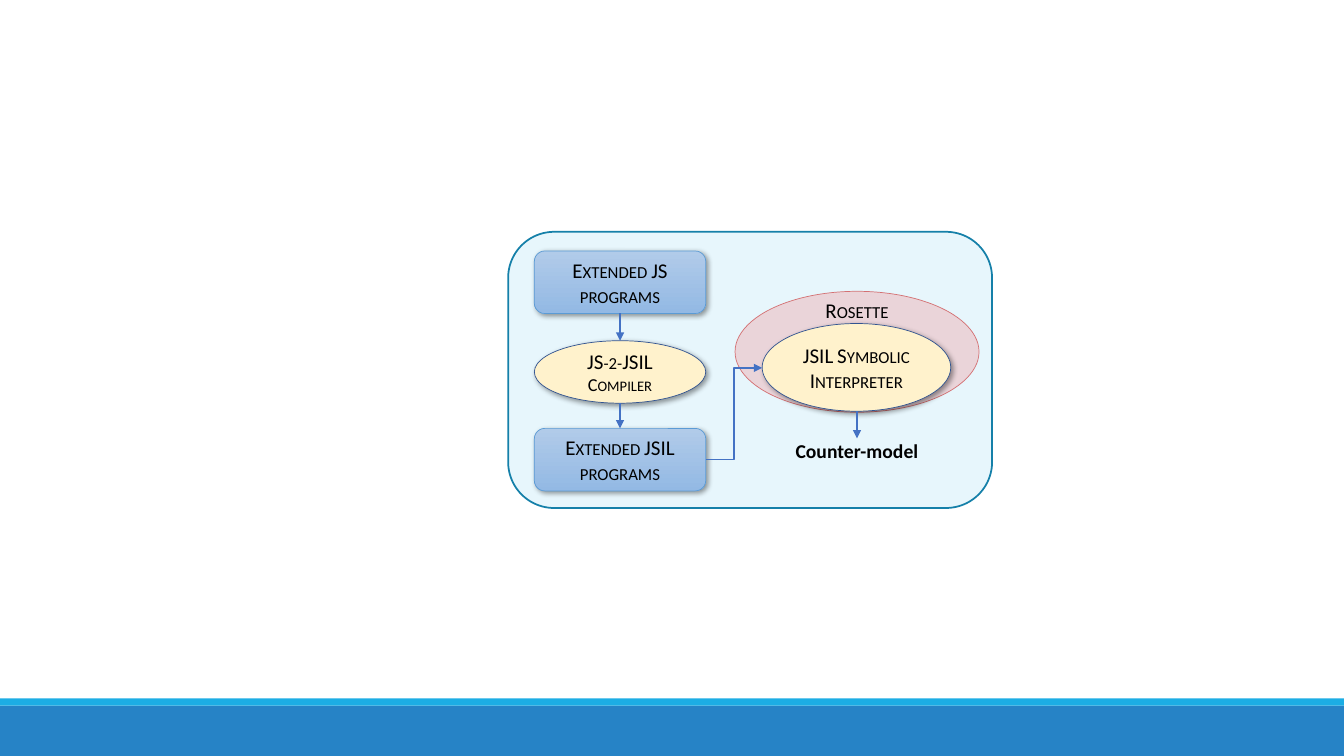
import pptx
import pptx.dml.color
import pptx.enum.shapes
import pptx.enum.text
import pptx.oxml
import pptx.oxml.ns
import pptx.util
from pptx.util import Inches

SHAPES = pptx.enum.shapes.MSO_SHAPE
CONNECTORS = pptx.enum.shapes.MSO_CONNECTOR
ANCHORS = pptx.enum.text.MSO_ANCHOR
NAMESPACE = pptx.oxml.ns.nsdecls("a")


def color(value):
    return pptx.dml.color.RGBColor.from_string(value)


class Diagram:
    """Draws the pipeline elements in one style on the current slide."""

    font = "Calibri"
    ink = "000000"
    arrow_color = "4472C4"
    gradient = ("B1CBE9", "93B9E4")

    def __init__(self, slide):
        self.slide = slide

    def add_xml(self, parent, markup):
        parent.append(pptx.oxml.parse_xml(markup.format(NAMESPACE)))

    def set_text(self, shape, lines, small_caps=True, bold=False):
        frame = shape.text_frame
        frame.word_wrap = True
        frame.vertical_anchor = ANCHORS.MIDDLE
        frame.text = "\n".join(text for text, size in lines)
        for paragraph, (text, size) in zip(frame.paragraphs, lines):
            paragraph.alignment = pptx.enum.text.PP_ALIGN.CENTER
            font = paragraph.runs[0].font
            font.name, font.size, font.bold = self.font, pptx.util.Pt(size), bold
            font.color.rgb = color(self.ink)
        if small_caps:
            for properties in shape.element.xpath(".//a:rPr"):
                properties.set("cap", "small")

    def shape(self, kind, box, fill, line=None, width=0.5, lines=()):
        shape = self.slide.shapes.add_shape(kind, *map(Inches, box))
        shape.shadow.inherit = False
        if isinstance(fill, tuple):
            shape.fill.gradient()
            shape.fill.gradient_angle = 270
            for stop, value in zip(shape.fill.gradient_stops, fill):
                stop.color.rgb = color(value)
        else:
            shape.fill.solid()
            shape.fill.fore_color.rgb = color(fill)
        if line:
            shape.line.color.rgb = color(line)
            shape.line.width = pptx.util.Pt(width)
        else:
            shape.line.fill.background()
        if lines:
            self.set_text(shape, lines)
        return shape

    def fade(self, shape, percent, target="./a:solidFill/a:srgbClr"):
        for element in shape.element.spPr.xpath(target):
            self.add_xml(element, f'<a:alpha {{}} val="{percent * 1000}"/>')

    def raised(self, *arguments, **options):
        shape = self.shape(*arguments, **options)
        effects = shape.element.spPr.find(pptx.oxml.ns.qn("a:effectLst"))
        self.add_xml(effects, '<a:outerShdw {} blurRad="50800" dist="25400" dir="2700000">'
                     '<a:srgbClr val="000000"><a:alpha val="40000"/></a:srgbClr></a:outerShdw>')

    def programs(self, box, text):
        self.raised(SHAPES.ROUNDED_RECTANGLE, box, self.gradient, "5B9BD5", lines=[(text, 15)])

    def tool(self, box, lines):
        self.raised(SHAPES.OVAL, box, "FFF2CC", "325491", lines=lines)

    def label(self, box, text, size):
        shape = self.slide.shapes.add_textbox(*map(Inches, box))
        self.set_text(shape, [(text, size)], small_caps=False, bold=True)
        shape.text_frame.margin_top = shape.text_frame.margin_bottom = 0

    def arrow(self, start, end, kind=CONNECTORS.STRAIGHT):
        connector = self.slide.shapes.add_connector(kind, *map(Inches, start + end))
        connector.line.color.rgb = color(self.arrow_color)
        connector.line.width = pptx.util.Pt(1)
        properties = connector.element.spPr
        self.add_xml(properties.find(pptx.oxml.ns.qn("a:ln")), '<a:tailEnd {} type="triangle"/>')
        self.add_xml(properties, "<a:effectLst {}/>")


presentation = pptx.Presentation()
presentation.slide_width, presentation.slide_height = Inches(13.33), Inches(7.5)
diagram = Diagram(presentation.slides.add_slide(presentation.slide_layouts[6]))

diagram.shape(SHAPES.RECTANGLE, (0, 7, 13.33, 0.5), "2683C6")
diagram.shape(SHAPES.RECTANGLE, (0, 6.93, 13.33, 0.07), "1CADE4")
panel = diagram.shape(SHAPES.ROUNDED_RECTANGLE, (5.04, 2.3, 4.8, 2.74), "1CADE4", "1580A9", 1.25)
diagram.fade(panel, 10)

left, width, height = 5.3, 1.7, 0.62
source_top, compiler_top, target_top = 2.49, 3.38, 4.25
center = left + width / 2
diagram.programs((left, source_top, width, height), "Extended JS programs")
diagram.tool((left, compiler_top, width, height), [("JS-2-JSIL", 15), ("Compiler", 13)])
diagram.programs((left, target_top, width, height), "Extended JSIL programs")
for upper, lower in ((source_top, compiler_top), (compiler_top, target_top)):
    diagram.arrow((center, upper + height), (center, lower))

rosette = diagram.shape(SHAPES.OVAL, (7.29, 2.89, 2.42, 1.2), "EDB4B7", "C00000",
                        lines=[("Rosette", 15)])
rosette.text_frame.vertical_anchor = ANCHORS.TOP
rosette.text_frame.margin_top = Inches(-0.11)
diagram.fade(rosette, 50)
diagram.fade(rosette, 50, "./a:ln/a:solidFill/a:srgbClr")

diagram.tool((7.56, 3.21, 1.87, 0.87), [("JSIL Symbolic Interpreter", 15)])
diagram.arrow((left + width, target_top + height / 2), (7.56, 3.65), CONNECTORS.ELBOW)
diagram.label((7.35, 4.35, 2.3, 0.24), "Counter-model", 14)
diagram.arrow((8.5, 4.08), (8.5, 4.35))

presentation.save("out.pptx")
